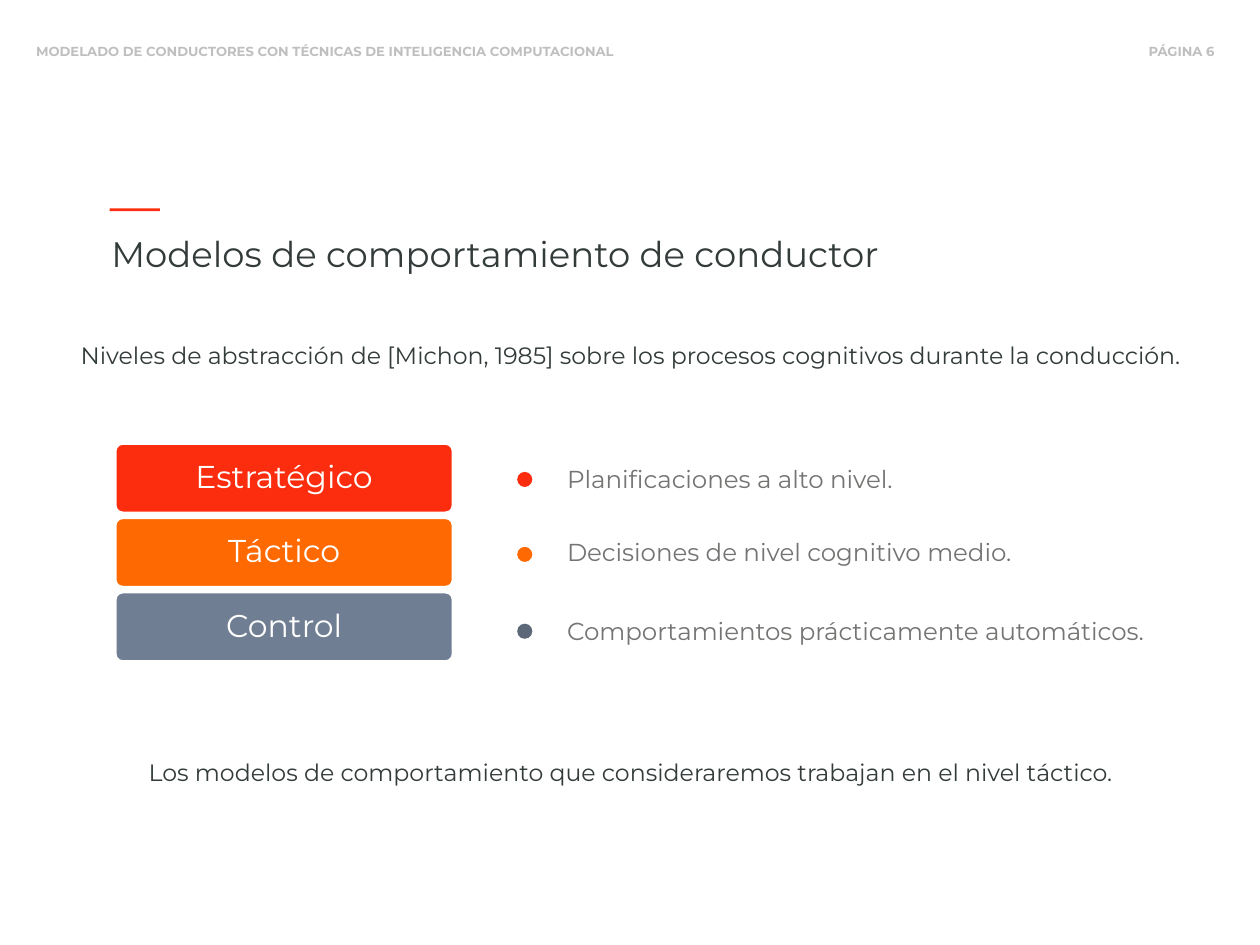
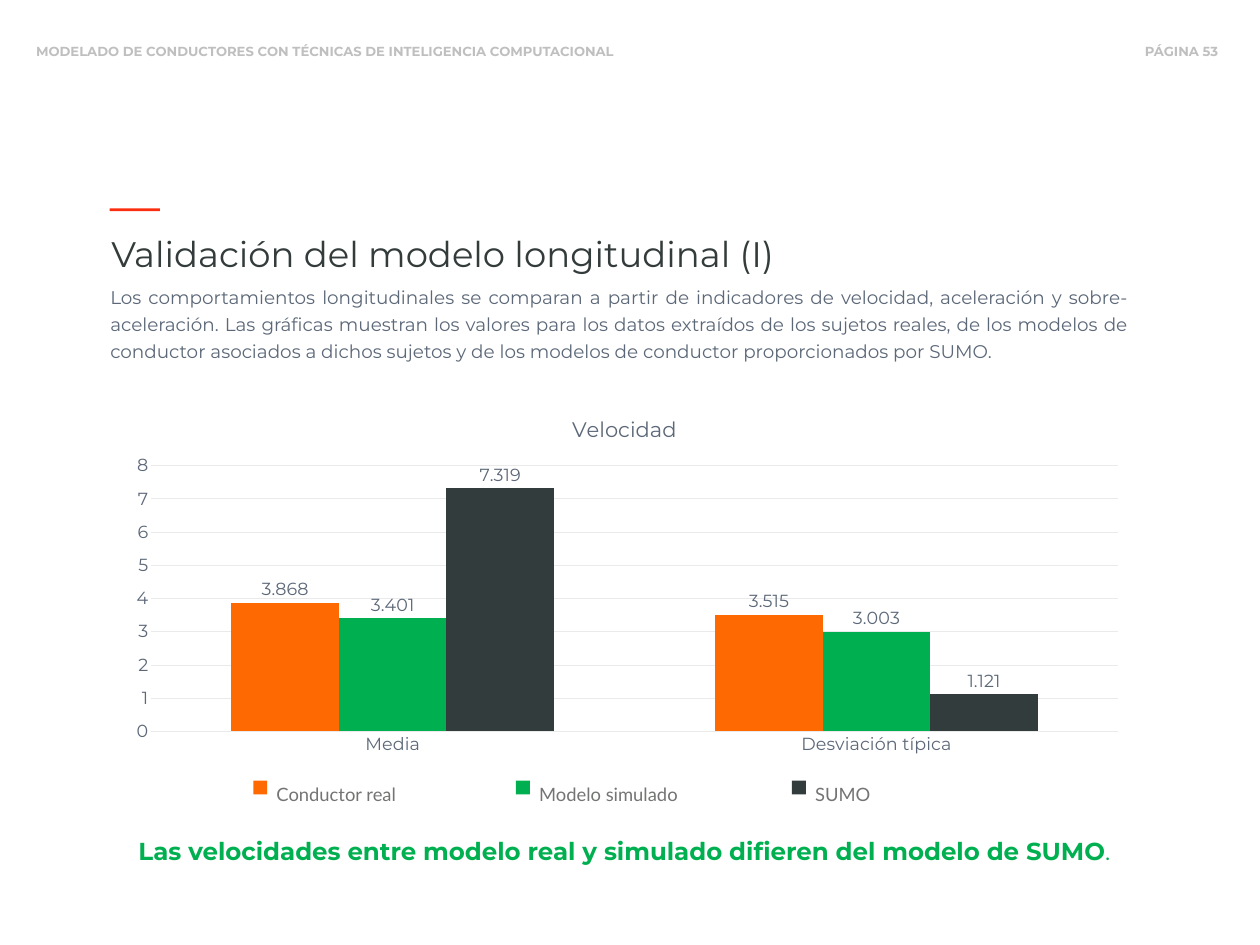
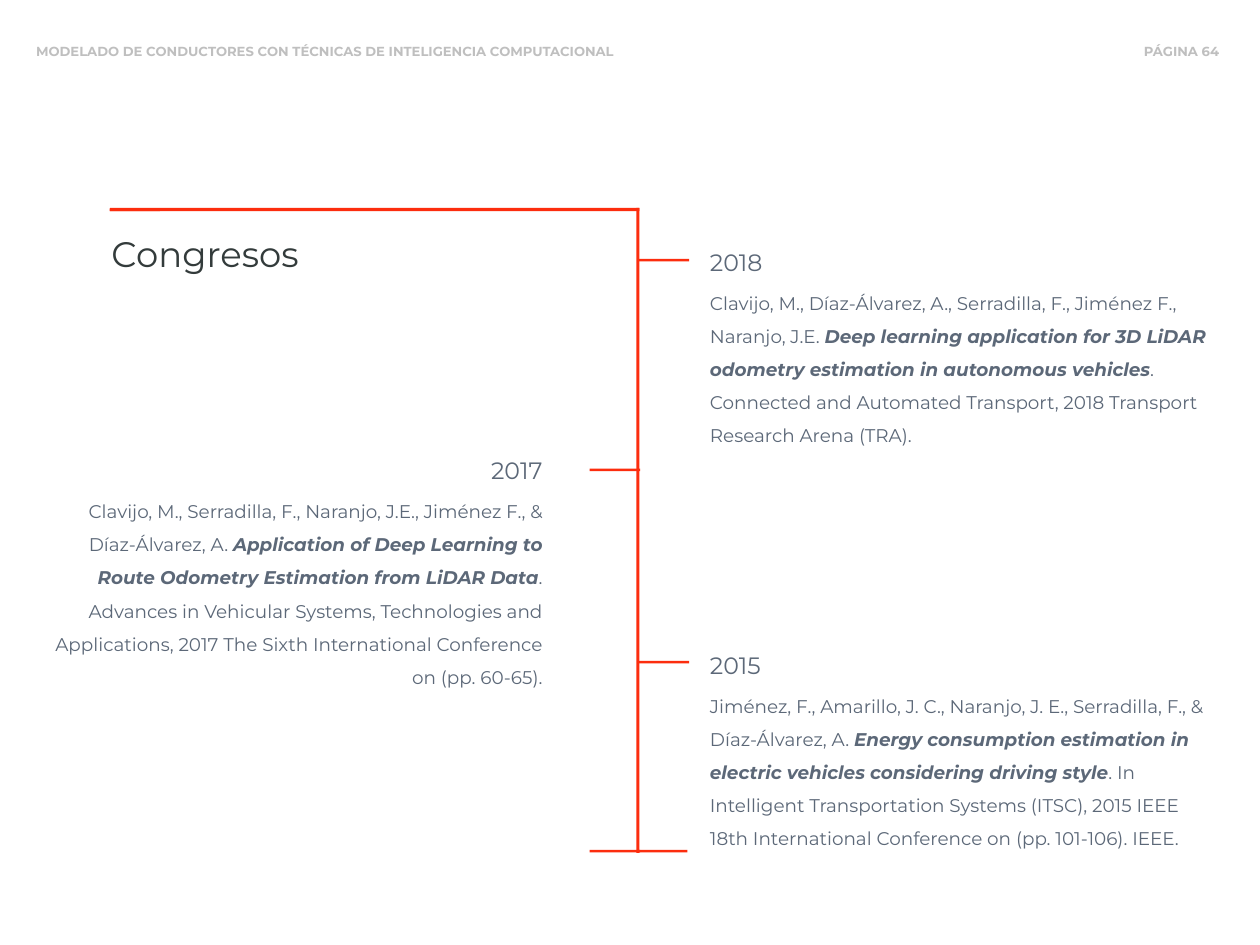
"""Build three slides on driver modelling: levels, validation chart and conference timeline."""
from dataclasses import dataclass
from typing import NamedTuple, Optional

from lxml import etree
from pptx import Presentation
from pptx import presentation as prs
from pptx import slide as sl
from pptx import util as u
from pptx.chart import data as chart_data
from pptx.dml import color
from pptx.enum import chart as ch
from pptx.enum import shapes, text
from pptx.oxml import ns
from pptx.shapes import autoshape

RED = color.RGBColor(0xFC, 0x2D, 0x0E)
ORANGE = color.RGBColor(0xFF, 0x69, 0x02)
GREEN = color.RGBColor(0x00, 0xB0, 0x50)
STEEL = color.RGBColor(0x6F, 0x7E, 0x92)
SLATE = color.RGBColor(0x5C, 0x68, 0x78)
INK = color.RGBColor(0x33, 0x3B, 0x3B)
CHARCOAL = color.RGBColor(0x33, 0x3C, 0x3C)
GRAY = color.RGBColor(0x73, 0x75, 0x72)
HEADER_GRAY = color.RGBColor(0xBF, 0xBF, 0xBF)
GRID_GRAY = color.RGBColor(0xEA, 0xEA, 0xEA)
WHITE = color.RGBColor(0xFF, 0xFF, 0xFF)

FONT = "Montserrat"
LEGEND_FONT = "Lato"
HEADER = "MODELADO DE CONDUCTORES CON TÉCNICAS DE INTELIGENCIA COMPUTACIONAL"
LEFT, CENTER = text.PP_ALIGN.LEFT, text.PP_ALIGN.CENTER
RIGHT, JUSTIFY = text.PP_ALIGN.RIGHT, text.PP_ALIGN.JUSTIFY
RECTANGLE = shapes.MSO_SHAPE.RECTANGLE
BAR_THICKNESS = 0.04
SPINE_THICKNESS = 0.05
TICK_LENGTH = 0.8
FIXED_LINE = u.Pt(30.6)


class Box(NamedTuple):
    """Position and size in inches."""
    left: float
    top: float
    width: float
    height: float

    def lengths(self) -> list[u.Length]:
        """Return the four values as lengths."""
        return [u.Inches(value) for value in self]


class Span(NamedTuple):
    """A stretch of text with its emphasis."""
    words: str
    bold: bool = False
    italic: bool = False


@dataclass(frozen=True)
class Style:
    """Look of one paragraph and its box."""
    size: float
    color: color.RGBColor
    align: text.PP_ALIGN = LEFT
    font: str = FONT
    line_spacing: Optional[float] = None
    inset_x: float = 0.1
    inset_y: float = 0.05
    wrap: bool = True


@dataclass(frozen=True)
class Level:
    """An abstraction level with its explanation."""
    name: str
    fill: color.RGBColor
    note: str
    note_top: float
    dot_fill: color.RGBColor
    dot_top: float


@dataclass(frozen=True)
class Series:
    """A chart series and its legend entry."""
    name: str
    values: tuple[float, float]
    fill: color.RGBColor
    legend_left: float


@dataclass(frozen=True)
class Publication:
    """A conference paper on the timeline."""
    year: str
    authors: str
    title: str
    venue: str
    left: float
    top: float
    width: float
    align: text.PP_ALIGN


HEADER_STYLE = Style(15, HEADER_GRAY, CENTER, inset_x=0.15, inset_y=0.08, wrap=False)
TITLE_STYLE = Style(40.5, INK)
STATEMENT_STYLE = Style(27, INK, CENTER)
LEVEL_STYLE = Style(36, WHITE, CENTER, line_spacing=0.9, inset_x=0.15, inset_y=0.15)
NOTE_STYLE = Style(28, GRAY, line_spacing=FIXED_LINE, inset_x=0.18, inset_y=0.09)
INTRO_STYLE = Style(21, SLATE, JUSTIFY, line_spacing=FIXED_LINE, inset_x=0.18, inset_y=0.09)
LEGEND_STYLE = Style(21, GRAY, font=LEGEND_FONT, line_spacing=1.5)
CONCLUSION_STYLE = Style(28, GREEN, CENTER)

LEVELS = (
    Level("Estratégico", RED, "Planificaciones a alto nivel.", 7.31, RED, 7.49),
    Level("Táctico", ORANGE, "Decisiones de nivel cognitivo medio.", 8.47, ORANGE, 8.68),
    Level("Control", STEEL, "Comportamientos prácticamente automáticos.", 9.73, SLATE, 9.9),
)
SERIES = (
    Series("Conductor real", (3.868, 3.515), ORANGE, 4.02),
    Series("Modelo simulado", (3.401, 3.003), GREEN, 8.19),
    Series("SUMO", (7.319, 1.121), CHARCOAL, 12.57),
)
PUBLICATIONS = (
    Publication(
        "2018",
        "Clavijo, M., Díaz-Álvarez, A., Serradilla, F., Jiménez F., Naranjo, J.E. ",
        "Deep learning application for 3D LiDAR odometry estimation in autonomous vehicles",
        ". Connected and Automated Transport, 2018 Transport Research Arena (TRA).",
        11.17, 3.88, 8.11, LEFT),
    Publication(
        "2017",
        "Clavijo, M., Serradilla, F., Naranjo, J.E., Jiménez F., & Díaz-Álvarez, A. ",
        "Application of Deep Learning to Route Odometry Estimation from LiDAR Data",
        ". Advances in Vehicular Systems, Technologies and Applications, 2017 The Sixth "
        "International Conference on (pp. 60-65).",
        0.54, 7.19, 8.17, RIGHT),
    Publication(
        "2015",
        "Jiménez, F., Amarillo, J. C., Naranjo, J. E., Serradilla, F., & Díaz-Álvarez, A. ",
        "Energy consumption estimation in electric vehicles considering driving style",
        ". In Intelligent Transportation Systems (ITSC), 2015 IEEE 18th International "
        "Conference on (pp. 101-106). IEEE.",
        11.17, 10.28, 8.11, LEFT),
)
TICKS = ((10.14, 4.11), (9.36, 7.44), (10.14, 10.49), (9.36, 13.49), (10.11, 13.49))


def write(frame: text.Any if hasattr(text, "Any") else object, style: Style, *spans: Span) -> None:
    """Fill a text frame with one styled paragraph."""
    frame.word_wrap = style.wrap
    frame.margin_left = frame.margin_right = u.Inches(style.inset_x)
    frame.margin_top = frame.margin_bottom = u.Inches(style.inset_y)
    paragraph = frame.paragraphs[0]
    paragraph.alignment = style.align
    if style.line_spacing is not None:
        paragraph.line_spacing = style.line_spacing
    for span in spans:
        run = paragraph.add_run()
        run.text = span.words
        run.font.name = style.font
        run.font.size = u.Pt(style.size)
        run.font.color.rgb = style.color
        run.font.bold = span.bold
        run.font.italic = span.italic


def add_text(slide: sl.Slide, box: Box, style: Style, *spans: Span) -> None:
    """Add a text box holding one paragraph."""
    write(slide.shapes.add_textbox(*box.lengths()).text_frame, style, *spans)


def add_block(slide: sl.Slide, box: Box, fill: color.RGBColor,
              kind: shapes.MSO_SHAPE = RECTANGLE) -> autoshape.Shape:
    """Add a flat filled shape without outline."""
    shape = slide.shapes.add_shape(kind, *box.lengths())
    shape.shadow.inherit = False
    shape.fill.solid()
    shape.fill.fore_color.rgb = fill
    shape.line.fill.background()
    return shape


def add_slide(presentation: prs.Presentation, title: str, page: int) -> sl.Slide:
    """Add a slide with the shared header, accent bar and title."""
    slide = presentation.slides.add_slide(presentation.slide_layouts[6])
    add_text(slide, Box(17.93, 0.61, 1.65, 0.4), HEADER_STYLE, Span(f"PÁGINA {page}", True))
    add_text(slide, Box(0.36, 0.61, 9.6, 0.4), HEADER_STYLE, Span(HEADER, True))
    add_text(slide, Box(1.67, 3.63, 16.76, 0.78), TITLE_STYLE, Span(title))
    add_block(slide, Box(1.74, 3.31, TICK_LENGTH, BAR_THICKNESS), RED)
    return slide


def build_levels(presentation: prs.Presentation) -> None:
    """Build the slide on abstraction levels."""
    slide = add_slide(presentation, "Modelos de comportamiento de conductor", 6)
    add_text(slide, Box(0.71, 5.36, 18.59, 0.56), STATEMENT_STYLE,
             Span("Niveles de abstracción de [Michon, 1985] sobre los procesos cognitivos "
                  "durante la conducción."))
    for index, level in enumerate(LEVELS):
        card = add_block(slide, Box(1.84, 7.05 + 1.18 * index, 5.34, 1.08), level.fill,
                         shapes.MSO_SHAPE.ROUNDED_RECTANGLE)
        card.adjustments[0] = 0.1
        card.line.color.rgb = WHITE
        card.line.width = u.Pt(1.5)
        card.text_frame.vertical_anchor = text.MSO_ANCHOR.MIDDLE
        write(card.text_frame, LEVEL_STYLE, Span(level.name))
        add_block(slide, Box(8.21, level.dot_top, 0.24, 0.24), level.dot_fill,
                  shapes.MSO_SHAPE.OVAL)
        add_text(slide, Box(8.82, level.note_top, 10.48, 0.61), NOTE_STYLE, Span(level.note))
    add_text(slide, Box(0.71, 11.98, 18.59, 0.56), STATEMENT_STYLE,
             Span("Los modelos de comportamiento que consideraremos trabajan en el nivel táctico."))


def make_layout(**settings: object) -> etree.ElementBase:
    """Return a manual chart layout."""
    layout = etree.Element(ns.qn("c:layout"))
    manual = etree.SubElement(layout, ns.qn("c:manualLayout"))
    for name, value in settings.items():
        etree.SubElement(manual, ns.qn(f"c:{name}"), val=str(value))
    return layout


def place_plot(plot_area: etree.ElementBase) -> None:
    """Fix the inner plot rectangle of the chart."""
    for layout in plot_area.findall(ns.qn("c:layout")):
        plot_area.remove(layout)
    plot_area.insert(0, make_layout(layoutTarget="inner", xMode="edge", yMode="edge",
                                    x=0.04, y=0.18, w=0.94, h=0.73))


def add_speed_chart(slide: sl.Slide) -> None:
    """Add the clustered column chart of speeds."""
    data = chart_data.CategoryChartData(number_format="0.000")
    data.categories = ["Media", "Desviación típica"]
    for series in SERIES:
        data.add_series(series.name, series.values)
    chart = slide.shapes.add_chart(ch.XL_CHART_TYPE.COLUMN_CLUSTERED,
                                   *Box(1.74, 6.35, 16.34, 5.78).lengths(), data).chart
    chart.has_legend = False
    chart.font.name = FONT
    chart.font.size = u.Pt(20)
    chart.font.color.rgb = SLATE

    chart.has_title = True
    title = chart.chart_title
    title.include_in_layout = False
    title.text_frame.text = "Velocidad"
    font = title.text_frame.paragraphs[0].runs[0].font
    font.name, font.size, font.bold = FONT, u.Pt(24), False
    font.color.rgb = SLATE

    category_axis, value_axis = chart.category_axis, chart.value_axis
    for axis in (category_axis, value_axis):
        axis.major_tick_mark = axis.minor_tick_mark = ch.XL_TICK_MARK.NONE
    category_axis.format.line.color.rgb = GRID_GRAY
    category_axis.format.line.width = u.Pt(0.75)
    value_axis.format.line.fill.background()
    value_axis.minimum_scale, value_axis.maximum_scale, value_axis.major_unit = 0, 8, 1
    value_axis.tick_labels.number_format = "0"
    value_axis.tick_labels.number_format_is_linked = False
    value_axis.major_gridlines.format.line.color.rgb = GRID_GRAY
    value_axis.major_gridlines.format.line.width = u.Pt(0.75)

    plot = chart.plots[0]
    plot.gap_width, plot.overlap, plot.vary_by_categories = 150, 0, False
    for column, series in zip(plot.series, SERIES):
        column.format.fill.solid()
        column.format.fill.fore_color.rgb = series.fill
        labels = column.data_labels
        labels.show_value = True
        labels.position = ch.XL_LABEL_POSITION.OUTSIDE_END
        labels.number_format, labels.number_format_is_linked = "0.000", False
        labels.font.name, labels.font.size = FONT, u.Pt(20)
        labels.font.color.rgb = SLATE
    place_plot(chart.element.find(f".//{ns.qn('c:plotArea')}"))


def build_validation(presentation: prs.Presentation) -> None:
    """Build the slide on longitudinal validation."""
    slide = add_slide(presentation, "Validación del modelo longitudinal (I)", 53)
    add_text(slide, Box(1.57, 4.38, 16.51, 1.45), INTRO_STYLE,
             Span("Los comportamientos longitudinales se comparan a partir de indicadores de "
                  "velocidad, aceleración y sobre-aceleración. Las gráficas muestran los valores "
                  "para los datos extraídos de los sujetos reales, de los modelos de conductor "
                  "asociados a dichos sujetos y de los modelos de conductor proporcionados "
                  "por SUMO."))
    add_speed_chart(slide)
    for series in SERIES:
        add_block(slide, Box(series.legend_left, 12.39, 0.22, 0.22), series.fill)
        add_text(slide, Box(series.legend_left + 0.27, 12.2, 3.13, 0.57), LEGEND_STYLE,
                 Span(series.name))
    add_text(slide, Box(1.74, 13.22, 16.34, 0.57), CONCLUSION_STYLE,
             Span("Las velocidades entre modelo real y simulado difieren del modelo de SUMO", True),
             Span("."))


def build_conferences(presentation: prs.Presentation) -> None:
    """Build the timeline of conference papers."""
    slide = add_slide(presentation, "Congresos", 64)
    add_block(slide, Box(1.75, 3.3, 8.4, SPINE_THICKNESS), RED)
    add_block(slide, Box(10.1, 3.3, SPINE_THICKNESS, 10.24), RED)
    for left, top in TICKS:
        add_block(slide, Box(left, top, TICK_LENGTH, BAR_THICKNESS), RED)
    for paper in PUBLICATIONS:
        add_text(slide, Box(paper.left, paper.top, paper.width, 0.56),
                 Style(27, SLATE, paper.align), Span(paper.year))
        add_text(slide, Box(paper.left, paper.top + 0.53, paper.width, 2.69),
                 Style(21, SLATE, paper.align, line_spacing=1.5),
                 Span(paper.authors), Span(paper.title, True, True), Span(paper.venue))


def main() -> None:
    """Create and save the presentation."""
    presentation = Presentation()
    presentation.slide_width, presentation.slide_height = u.Inches(20), u.Inches(15)
    build_levels(presentation)
    build_validation(presentation)
    build_conferences(presentation)
    presentation.save("out.pptx")


if __name__ == "__main__":
    main()
